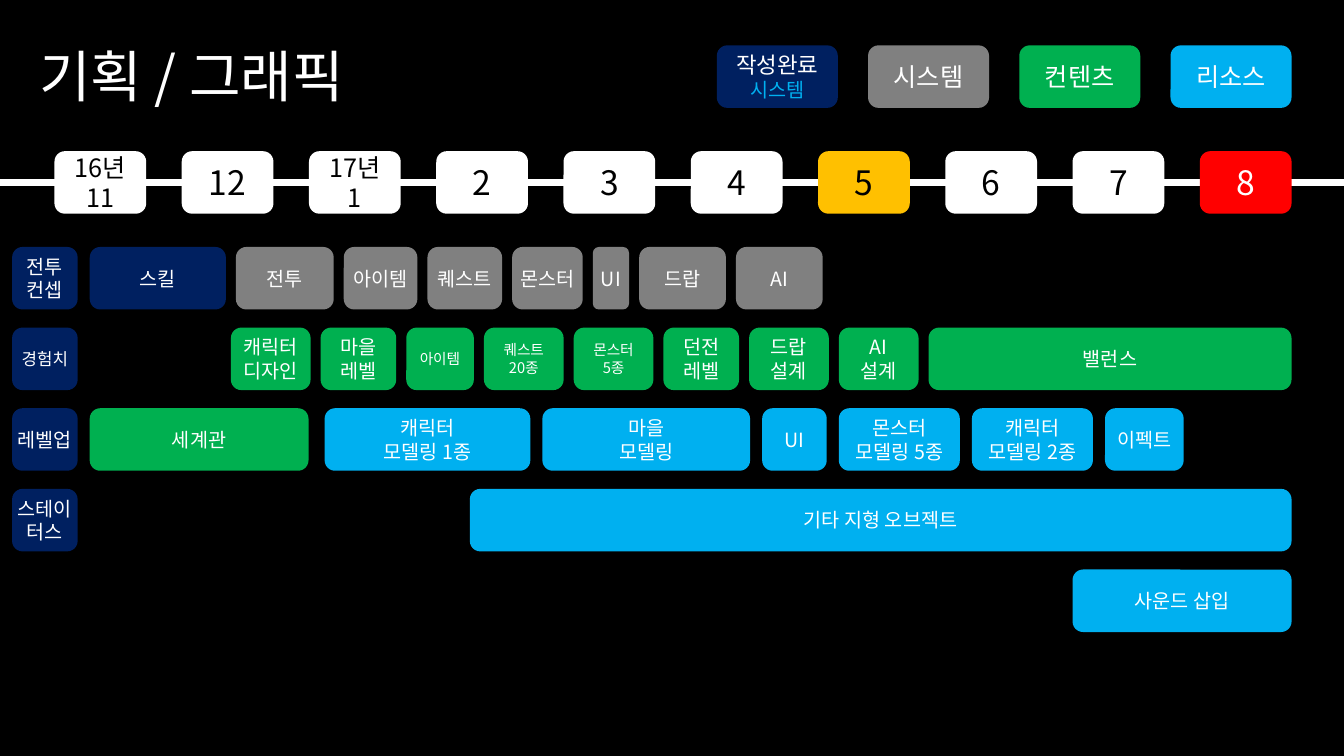
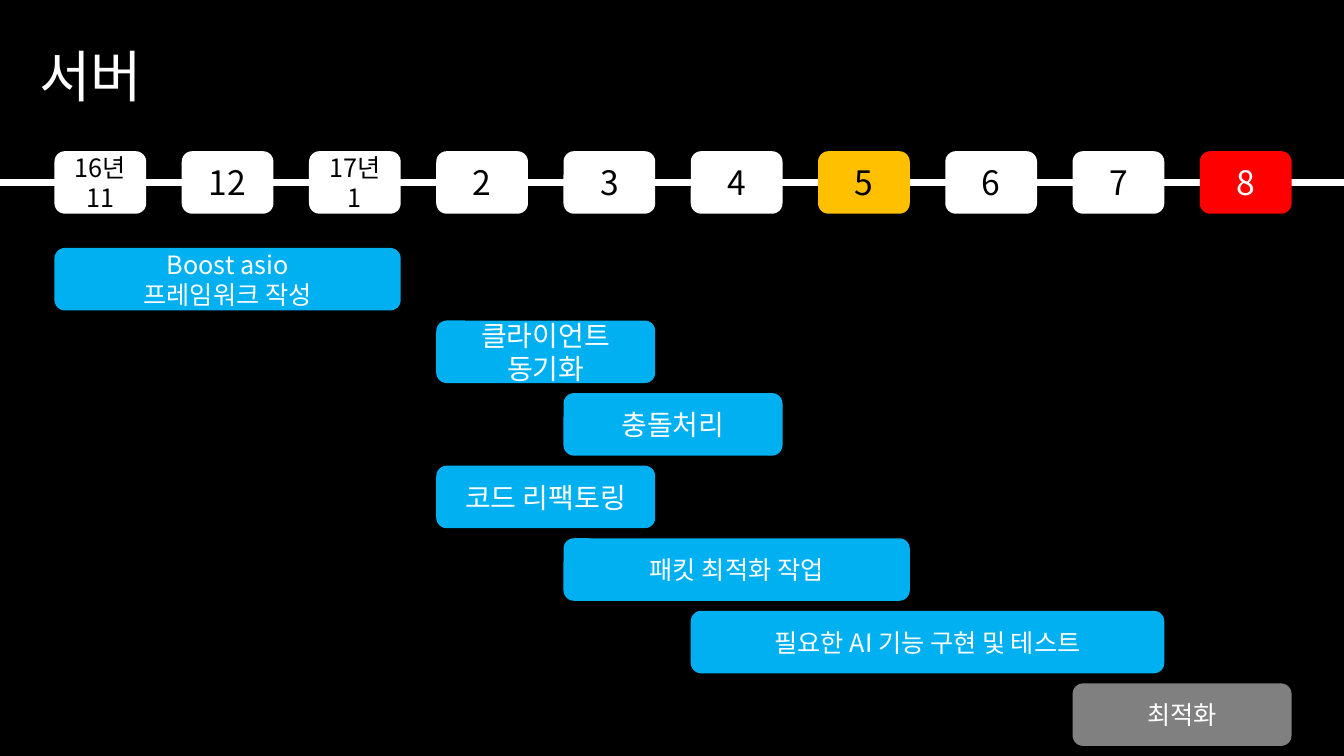
from pptx import Presentation
from pptx.dml.color import RGBColor
from pptx.enum.shapes import MSO_CONNECTOR, MSO_SHAPE
from pptx.enum.text import MSO_ANCHOR, MSO_AUTO_SIZE, PP_ALIGN
from pptx.oxml.ns import qn
from pptx.oxml.xmlchemy import OxmlElement
from pptx.util import Inches, Pt

FONT = "Noto Sans CJK KR"
COLORS = {
    "black": "000000", "white": "FFFFFF", "navy": "002060", "gray": "808080",
    "green": "00B050", "blue": "00B0F0", "amber": "FFC000", "red": "FF0000",
}
BLOCK_HEIGHT = 0.62
MONTH_LEFT, MONTH_WIDTH = 0.54, 0.91
MONTH_PITCH = (11.9 - MONTH_LEFT) / 9
MONTHS = ["16년\n11", "12", "17년\n1", "2", "3", "4", "5", "6", "7", "8"]
MONTH_FILLS = {"5": "amber", "8": "red"}


def month_left(index):
    return MONTH_LEFT + index * MONTH_PITCH


def month_span(count):
    return (count - 1) * MONTH_PITCH + MONTH_WIDTH


class Schedule:
    def __init__(self):
        self.deck = Presentation()
        self.deck.slide_width, self.deck.slide_height = Inches(13.33), Inches(7.5)
        fill = self.deck.slide_master.background.fill
        fill.solid()
        fill.fore_color.rgb = self.color("black")
        self.page = None

    def color(self, name):
        return RGBColor.from_string(COLORS[name])

    def style(self, para, size, color, align=PP_ALIGN.CENTER):
        para.alignment = align
        para.font.size = Pt(size)
        para.font.name = FONT
        para.font.color.rgb = self.color(color)
        east_asian = OxmlElement("a:ea")
        east_asian.set("typeface", FONT)
        para.font.color
        para._p.get_or_add_pPr().find(qn("a:defRPr")).append(east_asian)

    def add_page(self, title, width):
        self.page = self.deck.slides.add_slide(self.deck.slide_layouts[5])
        box = self.page.shapes.title
        box.left, box.top = Inches(0.29), Inches(0.36)
        box.width, box.height = Inches(width), Inches(0.77)
        frame = box.text_frame
        frame.text = title
        frame.word_wrap = False
        frame.auto_size = MSO_AUTO_SIZE.SHAPE_TO_FIT_TEXT
        frame.vertical_anchor = MSO_ANCHOR.TOP
        self.style(frame.paragraphs[0], 40, "white", PP_ALIGN.LEFT)
        self.timeline()

    def timeline(self):
        axis = self.page.shapes.add_connector(
            MSO_CONNECTOR.STRAIGHT, 0, Inches(1.81), self.deck.slide_width, Inches(1.81))
        axis.line.color.rgb = self.color("white")
        axis.line.width = Pt(5)
        axis._element.spPr.append(OxmlElement("a:effectLst"))
        for index, month in enumerate(MONTHS):
            self.block(month, month_left(index), 1.5, MONTH_WIDTH,
                       MONTH_FILLS.get(month, "white"), 18 if "\n" in month else 24,
                       "white" if month == "8" else "black")

    def block(self, text, left, top, width, fill, size=18, color="white", tight=False):
        box = self.page.shapes.add_shape(
            MSO_SHAPE.ROUNDED_RECTANGLE,
            Inches(left), Inches(top), Inches(width), Inches(BLOCK_HEIGHT))
        box.shadow.inherit = False
        box.fill.solid()
        box.fill.fore_color.rgb = self.color(fill)
        box.line.fill.background()
        frame = box.text_frame
        frame.text = text
        frame.word_wrap = True
        frame.vertical_anchor = MSO_ANCHOR.MIDDLE
        if tight:
            frame.margin_left = frame.margin_right = 0
            frame.margin_top = frame.margin_bottom = 0
        for para in frame.paragraphs:
            self.style(para, size, color)
        return box

    def task_row(self, left, row, gap, tasks):
        for text, width, fill, size in tasks:
            self.block(text, left, 2.45 + 0.8 * row, width, fill, size, tight=True)
            left += width + gap


schedule = Schedule()

schedule.add_page("기획 / 그래픽", 3.63)
legend = [("작성완료\n시스템", "navy", 16), ("시스템", "gray", 18),
          ("컨텐츠", "green", 18), ("리소스", "blue", 18)]
for index, (text, fill, size) in enumerate(legend):
    key = schedule.block(text, 7.11 + 1.5 * index, 0.45, 1.2, fill, size)
    if fill == "navy":
        done_example = key.text_frame.paragraphs[1]
        done_example.font.size = Pt(14)
        done_example.font.color.rgb = schedule.color("blue")

concepts = [("전투\n컨셉", 14), ("경험치", 12), ("레벨업", 14), ("스테이터스", 14)]
for row, (text, size) in enumerate(concepts):
    schedule.task_row(0.12, row, 0, [(text, 0.65, "navy", size)])

task_rows = [
    (0.89, 0, 0.1, [
        ("스킬", 1.35, "navy", 14), ("전투", 0.97, "gray", 14),
        ("아이템", 0.73, "gray", 14), ("퀘스트", 0.74, "gray", 14),
        ("몬스터", 0.7, "gray", 14), ("UI", 0.36, "gray", 14),
        ("드랍", 0.86, "gray", 14), ("AI", 0.86, "gray", 14)]),
    (2.29, 1, 0.1, [
        ("캐릭터\n디자인", 0.79, "green", 14), ("마을\n레벨", 0.75, "green", 14),
        ("아이템", 0.67, "green", 10.5), ("퀘스트\n20종", 0.79, "green", 10.5),
        ("몬스터\n5종", 0.79, "green", 10.5), ("던전\n레벨", 0.75, "green", 14),
        ("드랍\n설계", 0.79, "green", 14), ("AI\n설계", 0.79, "green", 14),
        ("밸런스", 3.6, "green", 14)]),
    (0.89, 2, 0, [("세계관", 2.17, "green", 14)]),
    (3.22, 2, 0.12, [
        ("캐릭터\n모델링 1종", 2.04, "blue", 14), ("마을\n모델링", 2.06, "blue", 14),
        ("UI", 0.64, "blue", 14), ("몬스터\n모델링 5종", 1.2, "blue", 14),
        ("캐릭터\n모델링 2종", 1.2, "blue", 14), ("이펙트", 0.78, "blue", 14)]),
    (4.66, 3, 0, [("기타 지형 오브젝트", 8.15, "blue", 14)]),
    (month_left(8), 4, 0, [("사운드 삽입", month_span(2), "blue", 14)]),
]
for task_row in task_rows:
    schedule.task_row(*task_row)

schedule.add_page("서버", 1.32)
server_tasks = [
    ("Boost asio\n프레임워크 작성", 0, 3, "blue", 18),
    ("클라이언트\n동기화", 3, 2, "blue", 20),
    ("충돌처리", 4, 2, "blue", 20),
    ("코드 리팩토링", 3, 2, "blue", 20),
    ("패킷 최적화 작업", 4, 3, "blue", 18),
    ("필요한 AI 기능 구현 및 테스트", 5, 4, "blue", 18),
    ("최적화", 8, 2, "gray", 18),
]
for row, (text, start, months, fill, size) in enumerate(server_tasks):
    schedule.block(text, month_left(start), 2.46 + 0.72 * row, month_span(months), fill, size)

schedule.deck.save("out.pptx")
